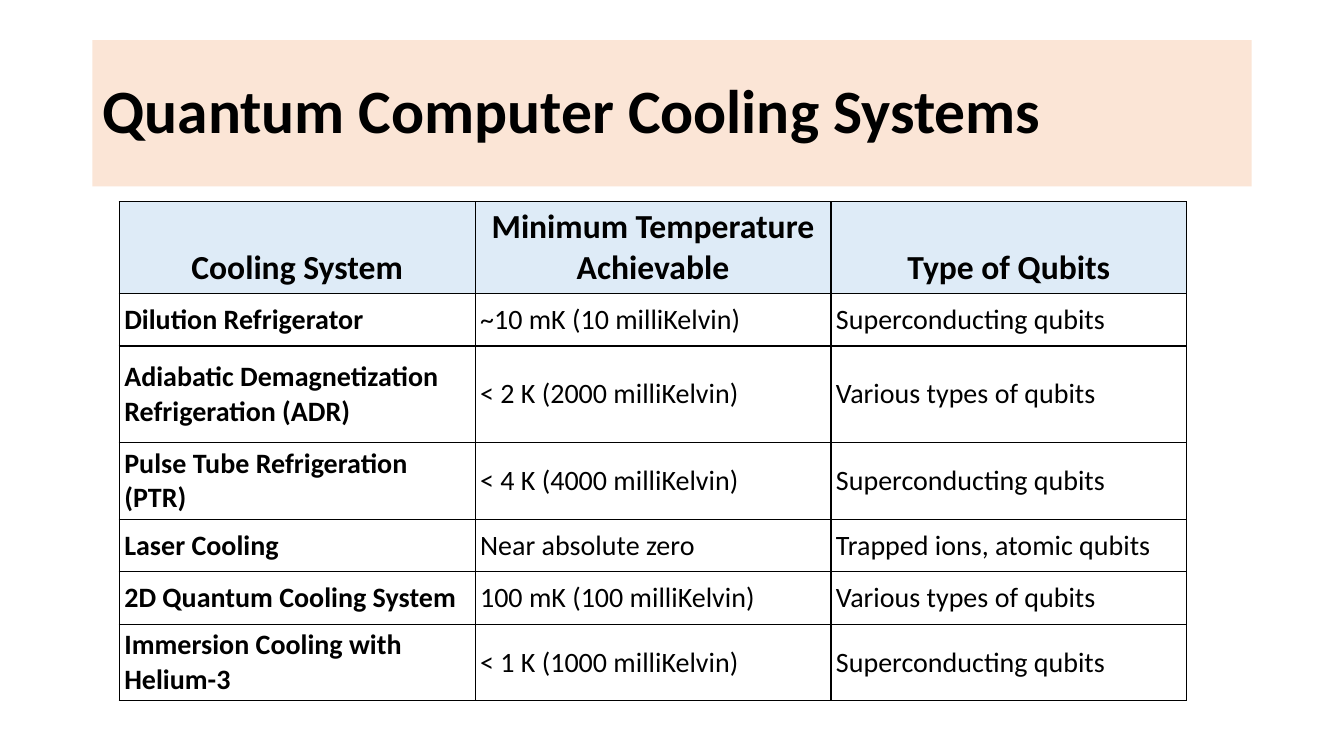
from lxml import etree
from pptx import Presentation
from pptx.dml.color import RGBColor
from pptx.enum.text import MSO_ANCHOR, MSO_AUTO_SIZE, PP_ALIGN
from pptx.oxml.ns import qn
from pptx.util import Pt

MIDDLE, BOTTOM = MSO_ANCHOR.MIDDLE, MSO_ANCHOR.BOTTOM
LEFT, CENTER = PP_ALIGN.LEFT, PP_ALIGN.CENTER
NO_AUTOFIT = MSO_AUTO_SIZE.NONE
TITLE_ONLY = 5
BLACK, PEACH, PALE_BLUE = "000000", "FBE5D6", "DEEBF7"
ROW_HEIGHTS = [54.7, 37.4, 69.1, 53.3, 37.4, 37.4, 53.3]
ROWS = [
    ("Cooling System", "Minimum Temperature Achievable", "Type of Qubits"),
    ("Dilution Refrigerator", "~10 mK (10 milliKelvin)", "Superconducting qubits"),
    ("Adiabatic Demagnetization Refrigeration (ADR)", "< 2 K (2000 milliKelvin)", "Various types of qubits"),
    ("Pulse Tube Refrigeration (PTR)", "< 4 K (4000 milliKelvin)", "Superconducting qubits"),
    ("Laser Cooling", "Near absolute zero", "Trapped ions, atomic qubits"),
    ("2D Quantum Cooling System", "100 mK (100 milliKelvin)", "Various types of qubits"),
    ("Immersion Cooling with Helium-3", "< 1 K (1000 milliKelvin)", "Superconducting qubits"),
]


def color(value):
    """Turn a hex string into a colour."""
    return RGBColor.from_string(value)


def add_span(para, text, size, bold):
    """Add one black Calibri run to a paragraph."""
    span = para.add_run()
    span.text = text
    span.font.name = "Calibri"
    span.font.size = Pt(size)
    span.font.bold = bold
    span.font.color.rgb = color(BLACK)


def add_borders(cell, line_color, width):
    """Draw a solid line on all four sides of a cell."""
    properties = cell._tc.get_or_add_tcPr()
    for side in ("a:lnL", "a:lnR", "a:lnT", "a:lnB"):
        line = etree.SubElement(properties, qn(side), w=str(Pt(width)))
        fill = etree.SubElement(line, qn("a:solidFill"))
        etree.SubElement(fill, qn("a:srgbClr"), val=line_color)


def fill_cell(cell, text, is_header, is_bold):
    """Write and format one table cell."""
    add_borders(cell, BLACK, 1)
    if is_header:
        cell.fill.solid()
        cell.fill.fore_color.rgb = color(PALE_BLUE)
    else:
        cell.fill.background()
    cell.vertical_anchor = BOTTOM if is_header else MIDDLE
    cell.margin_left = cell.margin_right = Pt(3.6)
    cell.margin_top = cell.margin_bottom = Pt(3.6 if is_header else 2.9)
    para = cell.text_frame.paragraphs[0]
    para.alignment = CENTER if is_header else LEFT
    add_span(para, text, 24 if is_header else 20, is_bold)


def place_title(page, text, left, top, width, height):
    """Place the title band."""
    box = page.shapes.title
    box.left, box.top, box.width, box.height = Pt(left), Pt(top), Pt(width), Pt(height)
    box.fill.solid()
    box.fill.fore_color.rgb = color(PEACH)
    frame = box.text_frame
    frame.word_wrap = True
    frame.auto_size = NO_AUTOFIT
    frame.vertical_anchor = MIDDLE
    para = frame.paragraphs[0]
    para.alignment = LEFT
    para.line_spacing = 0.9
    add_span(para, text, 44, True)


def place_cooling_table(page, left, top, width):
    """Place the comparison table with equal columns."""
    columns = len(ROWS[0])
    table = page.shapes.add_table(
        len(ROWS), columns, Pt(left), Pt(top), Pt(width), Pt(sum(ROW_HEIGHTS))
    ).table
    table.horz_banding = False
    for column in table.columns:
        column.width = Pt(width / columns)
    for row_index, (height, texts) in enumerate(zip(ROW_HEIGHTS, ROWS)):
        table.rows[row_index].height = Pt(height)
        for column_index, text in enumerate(texts):
            is_header = row_index == 0
            fill_cell(table.cell(row_index, column_index), text, is_header, is_header or column_index == 0)


def main():
    """Build the slide and save it."""
    deck = Presentation()
    deck.slide_width, deck.slide_height = Pt(960), Pt(540)
    page = deck.slides.add_slide(deck.slide_layouts[TITLE_ONLY])
    place_title(page, "Quantum Computer Cooling Systems", 66, 28.75, 828, 104.4)
    place_cooling_table(page, 85.2, 144, 762.5)
    deck.save("out.pptx")


if __name__ == "__main__":
    main()
